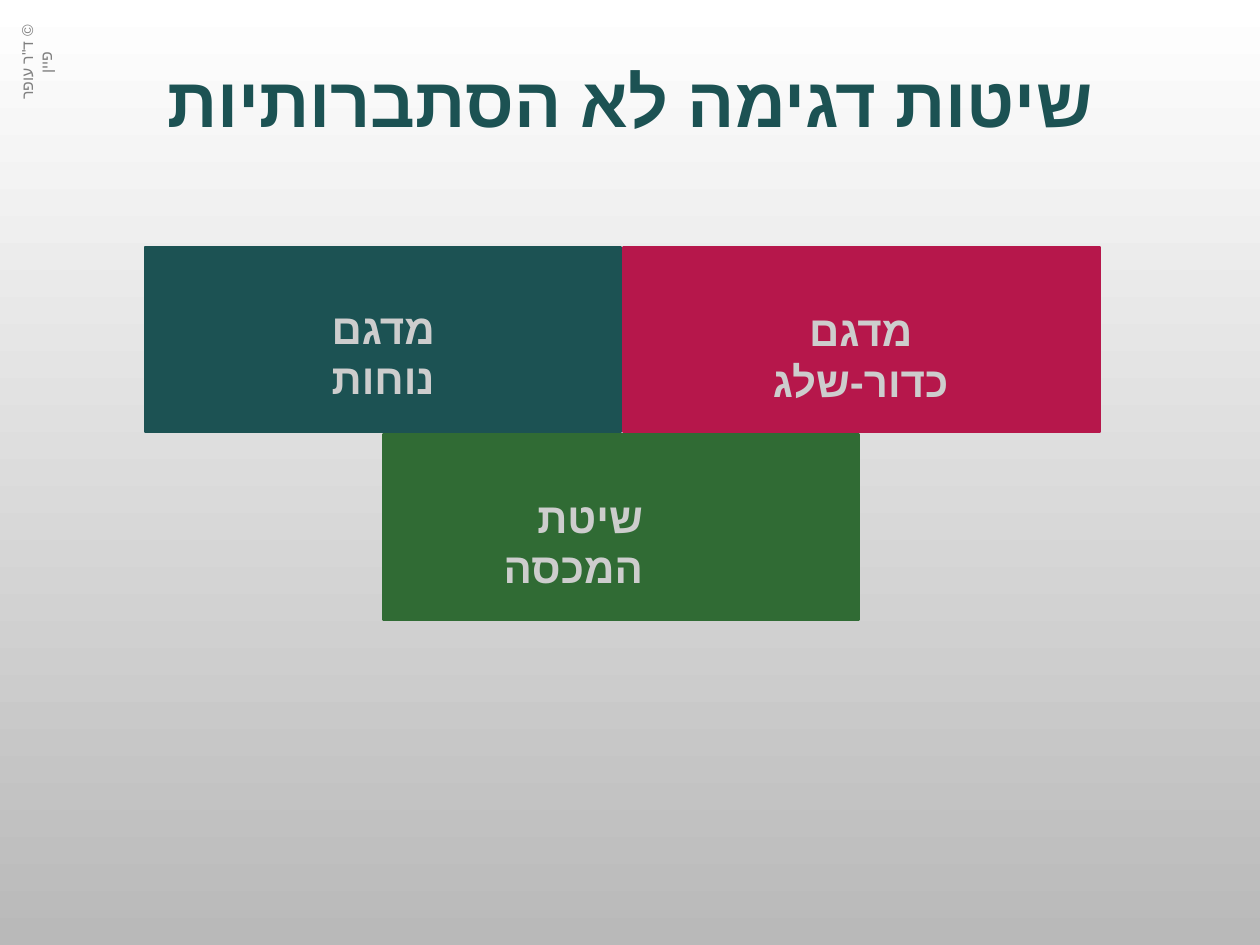
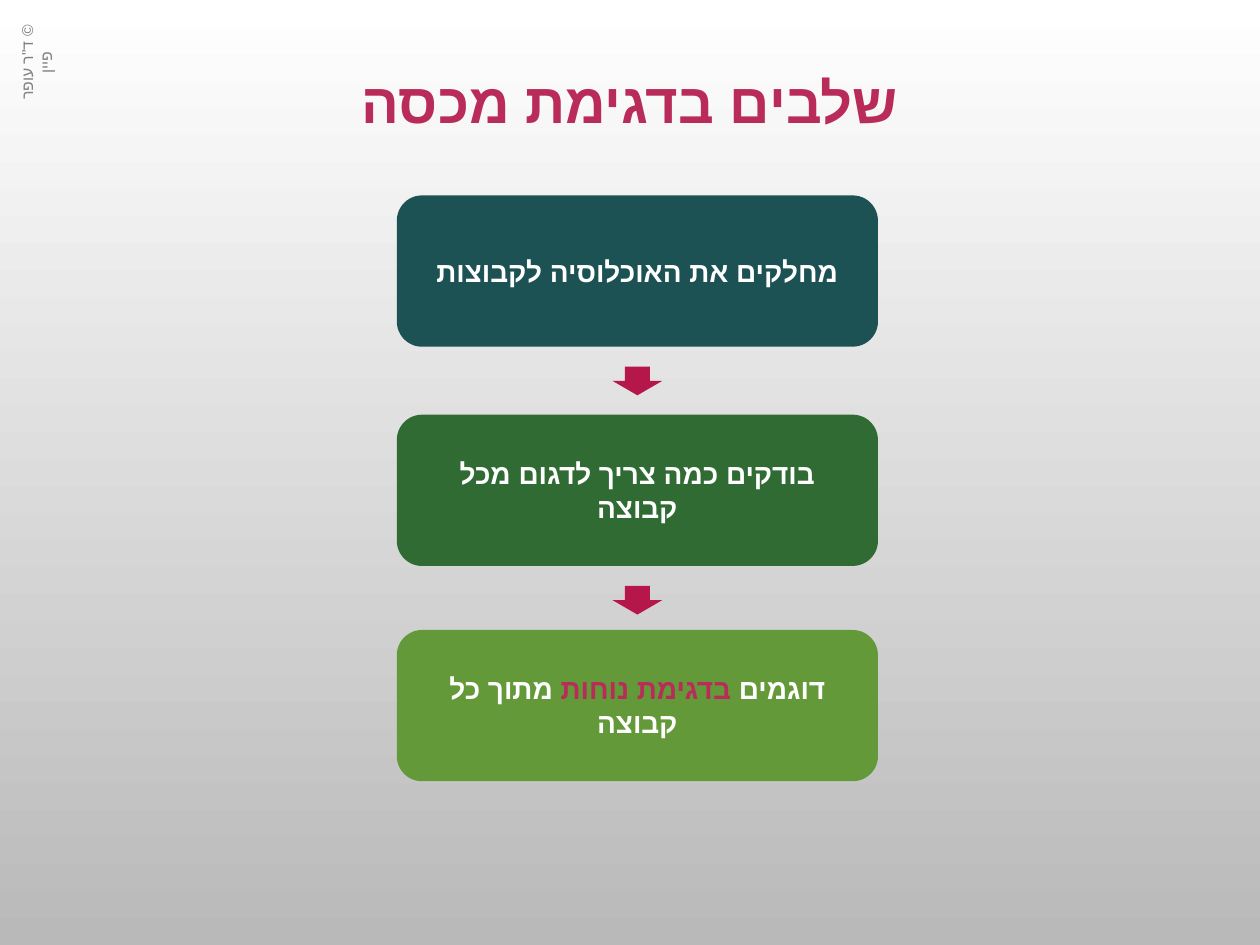
from lxml import etree
from pptx import Presentation
from pptx.dml.color import RGBColor
from pptx.enum import shapes, text
from pptx.oxml.ns import qn
from pptx.util import Cm, Pt

FONT = "Arial"
COLORS = {
    "teal": "1C5253", "rose": "B6174B", "pink": "B92B59",
    "green": "306B34", "lime": "649939", "white": "FFFFFF",
    "pale": "CDCDCD", "gray": "808080", "base": "B9B9B9",
}
SHAPE = shapes.MSO_SHAPE
MID = text.MSO_ANCHOR.MIDDLE
TOP = text.MSO_ANCHOR.TOP
CENTER = text.PP_ALIGN.CENTER
RIGHT = text.PP_ALIGN.RIGHT


def color(name):
    return RGBColor.from_string(COLORS[name])


def write(frame, runs, size, bold=True, align=CENTER, anchor=MID, pad=(0.25, 0.25)):
    form = {"word_wrap": True, "vertical_anchor": anchor,
            "margin_left": Cm(pad[0]), "margin_right": Cm(pad[1])}
    for key, value in form.items():
        setattr(frame, key, value)
    para = frame.paragraphs[0]
    para.alignment = align
    para._p.get_or_add_pPr().set("rtl", "1")
    for words, tone in runs:
        run = para.add_run()
        run.text = words
        for key, value in {"size": Pt(size), "bold": bold, "name": FONT}.items():
            setattr(run.font, key, value)
        run.font.color.rgb = color(tone)
        etree.SubElement(run._r.get_or_add_rPr(), qn("a:cs"), typeface=FONT)
    return para


def add_box(parent, kind, area, fill, line=None):
    box = parent.add_shape(kind, *map(Cm, area))
    box.shadow.inherit = False
    box.fill.solid()
    box.fill.fore_color.rgb = color(fill)
    if line:
        box.line.color.rgb = color(fill)
        box.line.width = Pt(line)
    else:
        box.line.fill.background()
    return box


def set_master(master, slide):
    fill = master.background.fill
    fill.gradient()
    fill.gradient_angle = 270
    for stop, tone, place in zip(fill.gradient_stops, ("white", "base"), (0, 1)):
        stop.color.rgb = color(tone)
        stop.position = place
    credit = slide.shapes.add_textbox(Cm(-0.71), Cm(0.94), Cm(2.51), Cm(0.64))
    credit.rotation = 270
    write(credit.text_frame, [("© ד\"ר עופר פיין", "gray")], 9,
          bold=False, anchor=TOP, pad=(0.38, 0.38))
    master.shapes.element.append(credit.element)


def set_title(slide, words, size, tone):
    title = slide.shapes.title
    area = {"left": 1.27, "top": 1.3, "width": 22.86, "height": 1.63}
    for key, value in area.items():
        setattr(title, key, Cm(value))
    para = write(title.text_frame, [(words, tone)], size)
    para.line_spacing = 0.9


def add_method(slide, left, top, fill, words, label, align=CENTER, pad=(0.64, 0.64)):
    group = slide.shapes.add_group_shape().shapes
    add_box(group, SHAPE.RECTANGLE, (left, top, 9.6, 3.73), fill, 1.25)
    inset, drop, width = label
    note = group.add_textbox(Cm(left + inset), Cm(top + drop), Cm(width), Cm(1.27))
    write(note.text_frame, [(words, "pale")], 24, align=align, anchor=TOP, pad=pad)


def add_steps(slide, steps):
    left, width, height = 8, 9.7, 3.05
    head, tall, gap = 1, 0.58, 0.4
    for order, (top, fill, runs) in enumerate(steps):
        box = add_box(slide.shapes, SHAPE.ROUNDED_RECTANGLE,
                      (left, top, width, height), fill)
        write(box.text_frame, runs, 16, pad=(0.38, 0.38))
        if order < len(steps) - 1:
            area = (left + (width - head) / 2, top + height + gap, head, tall)
            add_box(slide.shapes, SHAPE.DOWN_ARROW, area, "rose")


def main():
    deck = Presentation()
    deck.slide_width, deck.slide_height = Cm(25.4), Cm(19.05)
    layout = deck.slide_layouts[5]

    types = deck.slides.add_slide(layout)
    set_master(deck.slide_master, types)
    set_title(types, "שיטות דגימה לא הסתברותיות", 40, "teal")
    add_method(types, 2.92, 4.98, "teal", "מדגם נוחות", (2.52, 0.99, 4.57))
    add_method(types, 12.57, 4.98, "rose", "מדגם כדור-שלג", (1.81, 1.04, 5.94))
    add_method(types, 7.72, 8.76, "green", "שיטת המכסה", (2.19, 1.02, 5.23),
               RIGHT, (0, 2.18))

    quota = deck.slides.add_slide(layout)
    set_title(quota, "שלבים בדגימת מכסה", 32, "pink")
    add_steps(quota, [
        (3.94, "teal", [("מחלקים את האוכלוסיה לקבוצות", "white")]),
        (8.36, "green", [("בודקים כמה צריך לדגום מכל קבוצה", "white")]),
        (12.7, "lime", [("דוגמים ", "white"), ("בדגימת נוחות", "pink"),
                        (" מתוך כל קבוצה", "white")]),
    ])
    deck.save("out.pptx")


if __name__ == "__main__":
    main()
